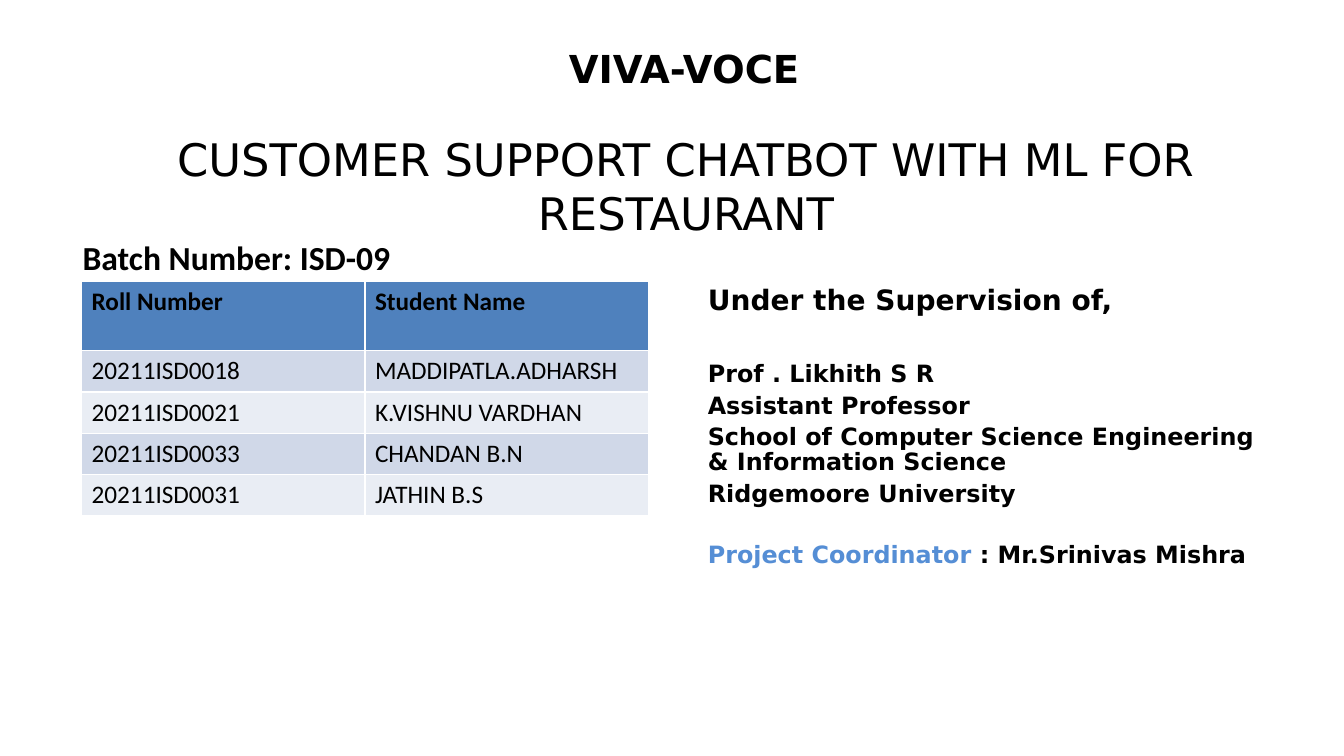
"""Build the viva-voce title slide with its student table and supervisor details."""
import pptx
import pptx.dml.color
import pptx.enum.text
import pptx.util

Inches, Pt = pptx.util.Inches, pptx.util.Pt
ALIGN = pptx.enum.text.PP_ALIGN
SANS, BODY = "DejaVu Sans", "Calibri"
BLACK, BLUE = "000000", "558ED5"
HEADER_FILL, BAND_FILLS = "4F81BD", ("D0D8E8", "E9EDF4")

STUDENTS = [
    ("Roll Number", "Student Name"),
    ("20211ISD0018", "MADDIPATLA.ADHARSH"),
    ("20211ISD0021", "K.VISHNU VARDHAN"),
    ("20211ISD0033", "CHANDAN B.N"),
    ("20211ISD0031", "JATHIN B.S"),
]
# text, size, space before, exact line height
SUPERVISION = [
    ("Under the Supervision of,", 20, 0, None),
    ("Prof . Likhith S R", 17, 30.5, None),
    ("Assistant Professor", 17, 4.1, 18.8),
    ("School of Computer Science Engineering & Information Science", 17, 4.3, 18),
    ("Ridgemoore University", 17, 1.9, None),
    ("Project Coordinator ", 17, 23.6, None),
]
COORDINATOR = ": Mr.Srinivas Mishra"
# text, left, top, width, height, size, font, bold, alignment
HEADINGS = [
    ("VIVA-VOCE", 0.81, 0.45, 11.95, 0.45, 27.5, SANS, True, ALIGN.CENTER),
    ("CUSTOMER SUPPORT CHATBOT WITH ML FOR RESTAURANT",
     0.81, 1.31, 11.99, 1.04, 32, SANS, False, ALIGN.CENTER),
    ("Batch Number: ISD-09", 0.82, 2.35, 5.6, 0.41, 24, BODY, True, ALIGN.LEFT),
]


def rgb(value):
    return pptx.dml.color.RGBColor.from_string(value)


def style(r, size, font, bold, color=BLACK):
    r.font.size, r.font.name, r.font.bold = Pt(size), font, bold
    r.font.color.rgb = rgb(color)


def text_frame(slide, left, top, width, height):
    box = slide.shapes.add_textbox(*map(Inches, (left, top, width, height)))
    tf = box.text_frame
    tf.word_wrap = True
    tf.margin_left = tf.margin_top = tf.margin_right = tf.margin_bottom = 0
    return tf


def add_headings(slide):
    for text, left, top, width, height, size, font, bold, align in HEADINGS:
        p = text_frame(slide, left, top, width, height).paragraphs[0]
        p.text, p.alignment = text, align
        style(p.runs[0], size, font, bold)


def add_students(slide):
    heights = [0.69] + [0.41] * (len(STUDENTS) - 1)
    table = slide.shapes.add_table(
        len(STUDENTS), 2, Inches(0.81), Inches(2.79), Inches(5.62), Inches(sum(heights))
    ).table
    for i, student in enumerate(STUDENTS):
        table.rows[i].height = Inches(heights[i])
        for j, text in enumerate(student):
            cell = table.cell(i, j)
            cell.text = text
            style(cell.text_frame.paragraphs[0].runs[0], 18, BODY, i == 0)
            cell.fill.solid()
            cell.fill.fore_color.rgb = rgb(BAND_FILLS[(i - 1) % 2] if i else HEADER_FILL)


def add_supervision(slide):
    tf = text_frame(slide, 7.02, 2.8, 5.58, 2.85)
    for i, (text, size, before, line) in enumerate(SUPERVISION):
        p = tf.add_paragraph() if i else tf.paragraphs[0]
        p.text, p.space_before = text, Pt(before)
        if line:
            p.line_spacing = Pt(line)
        style(p.runs[0], size, SANS, True)
    p.runs[0].font.color.rgb = rgb(BLUE)
    r = p.add_run()
    r.text = COORDINATOR
    style(r, 17, SANS, True)


def main():
    prs = pptx.Presentation()
    prs.slide_width, prs.slide_height = Inches(13.33), Inches(7.5)
    slide = prs.slides.add_slide(prs.slide_layouts[6])
    add_headings(slide)
    add_students(slide)
    add_supervision(slide)
    prs.save("out.pptx")


if __name__ == "__main__":
    main()
